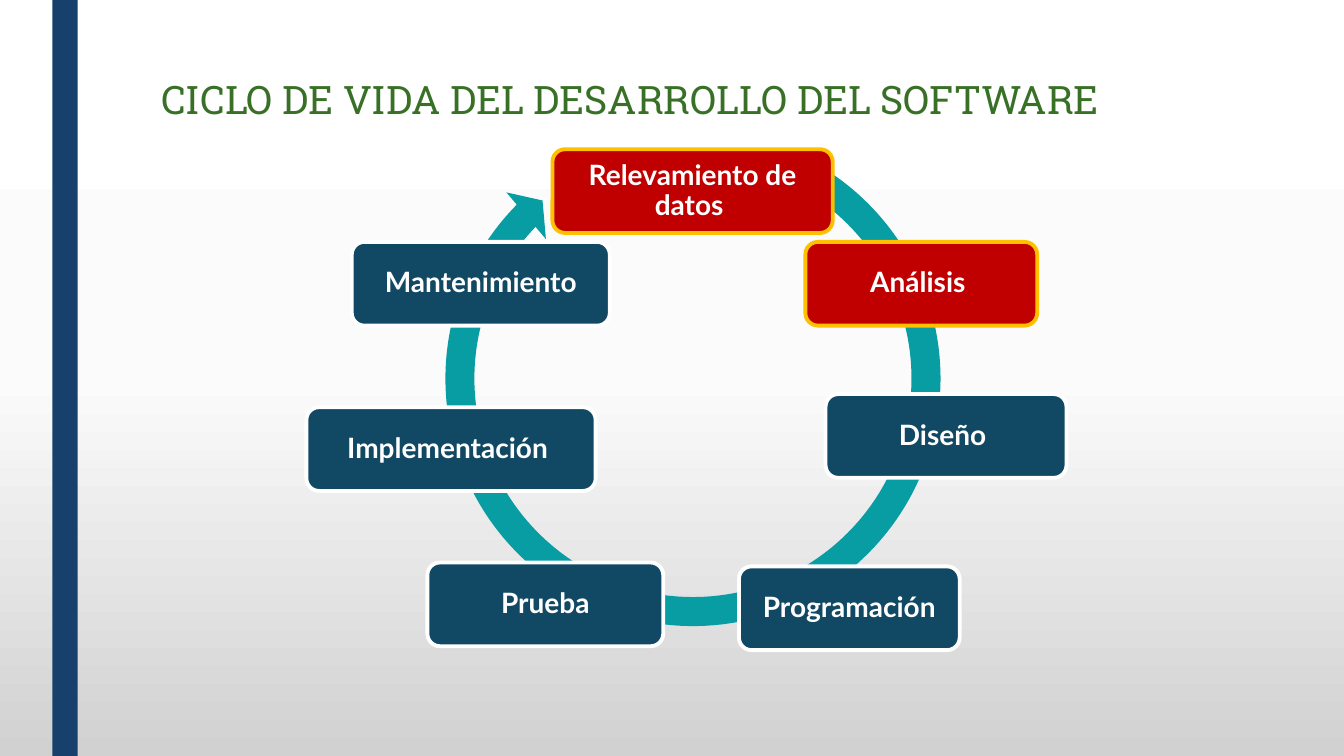
"""Build a slide showing the software development life cycle as a ring of stages."""
from copy import deepcopy

from pptx import Presentation
from pptx.dml.color import RGBColor
from pptx.enum.shapes import MSO_SHAPE as Shape
from pptx.enum.text import MSO_ANCHOR as Anchor, PP_ALIGN as Align
from pptx.oxml.ns import qn
from pptx.util import Pt

NAVY = RGBColor(0x17, 0x40, 0x6D)
GREEN = RGBColor(0x38, 0x70, 0x26)
TEAL = RGBColor(0x08, 0x9C, 0xA3)
BLUE = RGBColor(0x11, 0x48, 0x64)
RED = RGBColor(0xC0, 0x00, 0x00)
GOLD = RGBColor(0xFF, 0xC0, 0x00)
WHITE = RGBColor(0xFF, 0xFF, 0xFF)
BACKGROUND = [(0, WHITE), (0.5, RGBColor(0xFB, 0xFB, 0xFB)), (1, RGBColor(0xD1, 0xD1, 0xD1))]

TITLE = "CICLO DE VIDA DEL DESARROLLO DEL SOFTWARE"
NORMAL = (BLUE, WHITE)
HIGHLIGHT = (RED, GOLD)
STAGES = [
    ("Relevamiento de datos ", 394.6, 106.6, 200.2, HIGHLIGHT),
    ("Análisis ", 575.3, 172.8, 165.6, HIGHLIGHT),
    ("Diseño ", 589.7, 281.5, 172.1, NORMAL),
    ("Programación", 527.8, 404.6, 157.7, NORMAL),
    ("Prueba", 305.3, 401.8, 168.5, NORMAL),
    ("Implementación ", 218.9, 290.9, 206.6, NORMAL),
    ("Mantenimiento", 251.3, 172.8, 184.3, NORMAL),
]
STAGE_HEIGHT = 59.8
RING_ADJUSTMENTS = (0.055, 3.307, 134.576, 175.829, 0.058)


def paint_background(slide):
    fill = slide.background.fill
    fill.gradient()
    fill.gradient_angle = 270
    stop_list = slide.element.find(".//" + qn("a:gsLst"))
    stop_list.append(deepcopy(stop_list[-1]))
    for stop, (position, color) in zip(fill.gradient_stops, BACKGROUND):
        stop.position = position
        stop.color.rgb = color


def add_filled(slide, kind, left, top, width, height, color):
    shape = slide.shapes.add_shape(kind, Pt(left), Pt(top), Pt(width), Pt(height))
    shape.shadow.inherit = False
    shape.fill.solid()
    shape.fill.fore_color.rgb = color
    shape.line.fill.background()
    return shape


def write(paragraph, text, font_name, size, color, bold=False):
    paragraph.text = text
    paragraph.line_spacing = 0.9
    font = paragraph.font
    font.name, font.size, font.bold = font_name, Pt(size), bold
    font.color.rgb = color


def add_stage(slide, text, left, top, width, colors):
    fill_color, line_color = colors
    box = add_filled(slide, Shape.ROUNDED_RECTANGLE, left, top, width, STAGE_HEIGHT, fill_color)
    box.adjustments[0] = 0.15
    box.line.color.rgb = line_color
    box.line.width = Pt(2.75)
    frame = box.text_frame
    frame.word_wrap = True
    frame.vertical_anchor = Anchor.MIDDLE
    frame.margin_left = frame.margin_right = Pt(6)
    frame.margin_top = frame.margin_bottom = Pt(6)
    paragraph = frame.paragraphs[0]
    paragraph.alignment = Align.CENTER
    write(paragraph, text, "Lato", 20, WHITE, bold=True)


def main():
    presentation = Presentation()
    presentation.slide_width, presentation.slide_height = Pt(960), Pt(540)
    slide = presentation.slides.add_slide(presentation.slide_layouts[6])
    paint_background(slide)
    add_filled(slide, Shape.RECTANGLE, 37.4, 0, 18, 540, NAVY)

    title = slide.shapes.add_textbox(Pt(108), Pt(54), Pt(852), Pt(116.6))
    title.text_frame.word_wrap = True
    write(title.text_frame.paragraphs[0], TITLE, "Roboto Slab", 28, GREEN)

    ring = add_filled(slide, Shape.CIRCULAR_ARROW, 306.7, 82.1, 376.6, 376.6, TEAL)
    for index, value in enumerate(RING_ADJUSTMENTS):
        ring.adjustments[index] = value
    for stage in STAGES:
        add_stage(slide, *stage)

    presentation.save("out.pptx")


if __name__ == "__main__":
    main()
